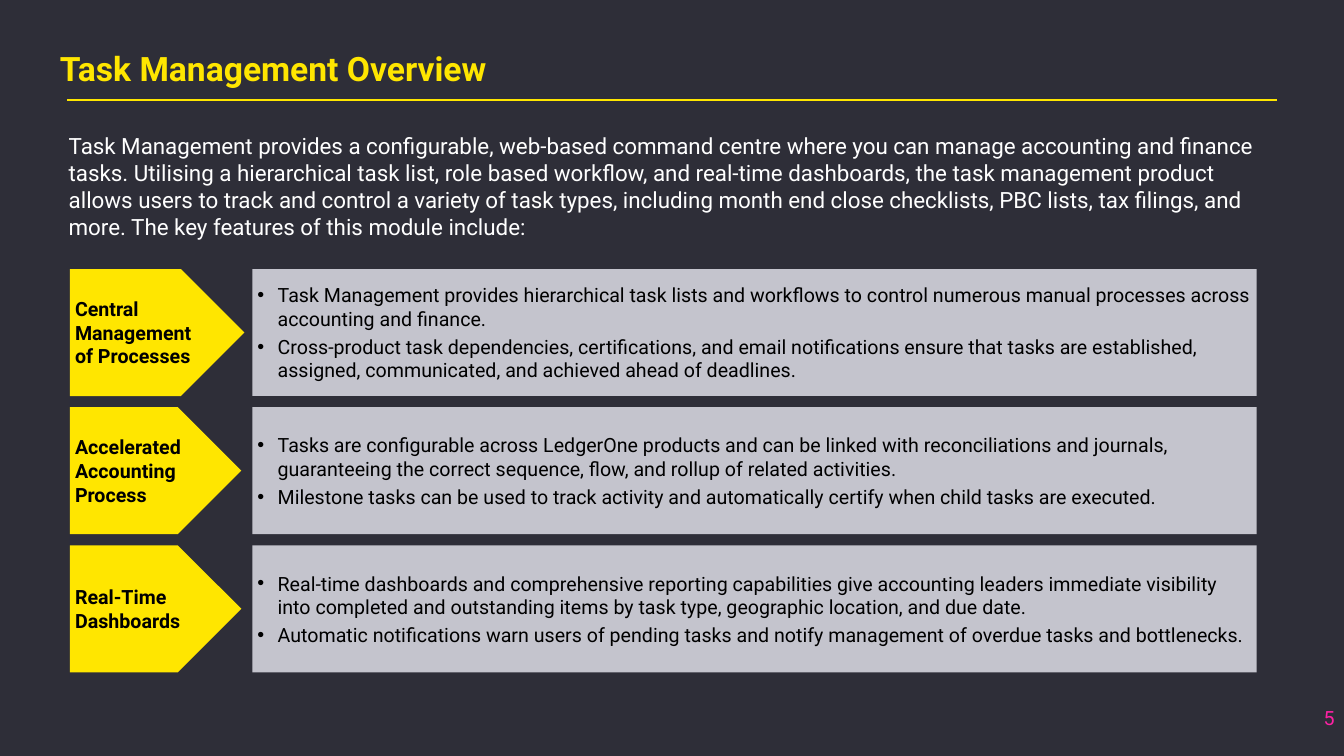
from dataclasses import dataclass

from lxml import etree
from pptx import Presentation
from pptx.dml.color import RGBColor
from pptx.enum import shapes, text
from pptx.oxml import ns
from pptx.util import Pt


@dataclass(frozen=True)
class Theme:
    font: str = "Roboto"
    background: RGBColor = RGBColor(0x2E, 0x2E, 0x38)
    accent: RGBColor = RGBColor(0xFF, 0xE6, 0x00)
    panel: RGBColor = RGBColor(0xC4, 0xC4, 0xCD)
    dark: RGBColor = RGBColor(0x00, 0x00, 0x00)
    light: RGBColor = RGBColor(0xFF, 0xFF, 0xFF)
    number: RGBColor = RGBColor(0xFF, 0x21, 0xA5)
    title_size: int = 24
    intro_size: int = 16
    body_size: int = 14


THEME = Theme()

INTRO = (
    "Task Management provides a configurable, web-based command centre where you can manage "
    "accounting and finance tasks. Utilising a hierarchical task list, role based workflow, and "
    "real-time dashboards, the task management product allows users to track and control a variety "
    "of task types, including month end close checklists, PBC lists, tax filings, and more. "
    "The key features of this module include:"
)

# Heading, arrow width, bullets
FEATURES = [
    ("Central Management of Processes", 124.6, [
        "Task Management provides hierarchical task lists and workflows to control numerous manual "
        "processes across accounting and finance.",
        "Cross-product task dependencies, certifications, and email notifications ensure that tasks "
        "are established, assigned, communicated, and achieved ahead of deadlines.",
    ]),
    ("Accelerated Accounting Process", 122.4, [
        "Tasks are configurable across LedgerOne products and can be linked with reconciliations and "
        "journals, guaranteeing the correct sequence, flow, and rollup of related activities.",
        "Milestone tasks can be used to track activity and automatically certify when child tasks "
        "are executed.",
    ]),
    ("Real-Time Dashboards", 122.4, [
        "Real-time dashboards and comprehensive reporting capabilities give accounting leaders "
        "immediate visibility into completed and outstanding items by task type, geographic "
        "location, and due date.",
        "Automatic notifications warn users of pending tasks and notify management of overdue tasks "
        "and bottlenecks.",
    ]),
]


def set_frame(frame, inset_x=0, inset_y=0, anchor=text.MSO_ANCHOR.TOP, wrap=True):
    frame.word_wrap = wrap
    frame.auto_size = text.MSO_AUTO_SIZE.NONE
    frame.vertical_anchor = anchor
    frame.margin_left = frame.margin_right = Pt(inset_x)
    frame.margin_top = frame.margin_bottom = Pt(inset_y)


def write(paragraph, words, size, color, bold=False):
    paragraph.alignment = text.PP_ALIGN.LEFT
    run = paragraph.add_run()
    run.text = words
    run.font.name = THEME.font
    run.font.size = Pt(size)
    run.font.bold = bold
    run.font.color.rgb = color


def add_bullet(paragraph, indent):
    properties = paragraph._p.get_or_add_pPr()
    properties.set("marL", str(Pt(indent)))
    properties.set("indent", str(Pt(-indent)))
    etree.SubElement(properties, ns.qn("a:buFont"), typeface="Arial")
    etree.SubElement(properties, ns.qn("a:buChar"), char="•")


def add_title(slide, left, top, width, height):
    title = slide.shapes.title
    title.left, title.top, title.width, title.height = map(Pt, (left, top, width, height))
    set_frame(title.text_frame)
    write(title.text_frame.paragraphs[0], "Task Management Overview",
          THEME.title_size, THEME.accent, bold=True)


def add_rule(slide, left, top, width):
    rule = slide.shapes.add_connector(
        shapes.MSO_CONNECTOR.STRAIGHT, Pt(left), Pt(top), Pt(left + width), Pt(top))
    rule.line.color.rgb = THEME.accent
    rule.line.width = Pt(1.5)
    etree.SubElement(rule._element.spPr, ns.qn("a:effectLst"))


def add_text(slide, box, words, size, color, inset_x=0, inset_y=0, wrap=True):
    frame = slide.shapes.add_textbox(*map(Pt, box)).text_frame
    set_frame(frame, inset_x, inset_y, wrap=wrap)
    write(frame.paragraphs[0], words, size, color)


def add_block(slide, kind, box, color):
    """Add a flat filled shape and return its text frame."""
    block = slide.shapes.add_shape(kind, *map(Pt, box))
    block.shadow.inherit = False
    block.fill.solid()
    block.fill.fore_color.rgb = color
    block.line.fill.background()
    set_frame(block.text_frame, 3.6, 3.6, text.MSO_ANCHOR.MIDDLE)
    return block.text_frame


def add_feature(slide, left, top, width, height, heading, arrow_width, bullets):
    """Place an arrow with its heading beside a panel of bullets."""
    arrow = add_block(slide, shapes.MSO_SHAPE.PENTAGON,
                      (left, top, arrow_width, height), THEME.accent)
    write(arrow.paragraphs[0], heading, THEME.body_size, THEME.dark, bold=True)

    panel_offset = 130.3
    panel = add_block(slide, shapes.MSO_SHAPE.RECTANGLE,
                      (left + panel_offset, top, width - panel_offset, height), THEME.panel)
    for index, bullet in enumerate(bullets):
        paragraph = panel.add_paragraph() if index else panel.paragraphs[0]
        add_bullet(paragraph, 14.4)
        paragraph.space_after = Pt(3)
        write(paragraph, bullet, THEME.body_size, THEME.dark)


def add_features(slide, left, top, width, height, gap=8):
    row_height = (height - gap * (len(FEATURES) - 1)) / len(FEATURES)
    for row, feature in enumerate(FEATURES):
        add_feature(slide, left, top + row * (row_height + gap), width, row_height, *feature)


def main():
    presentation = Presentation()
    presentation.slide_width, presentation.slide_height = Pt(960), Pt(540)
    slide = presentation.slides.add_slide(presentation.slide_layouts.get_by_name("Title Only"))
    slide.background.fill.solid()
    slide.background.fill.fore_color.rgb = THEME.background

    add_title(slide, 42.8, 34, 775, 36)
    add_rule(slide, 48, 71.3, 864)
    add_text(slide, (42, 91, 864, 91), INTRO, THEME.intro_size, THEME.light, 7.2, 3.6)
    add_features(slide, 50, 192.2, 847.6, 288)
    add_text(slide, (945.5, 504, 9, 17), "5", THEME.body_size, THEME.number, wrap=False)
    presentation.save("out.pptx")


if __name__ == "__main__":
    main()
